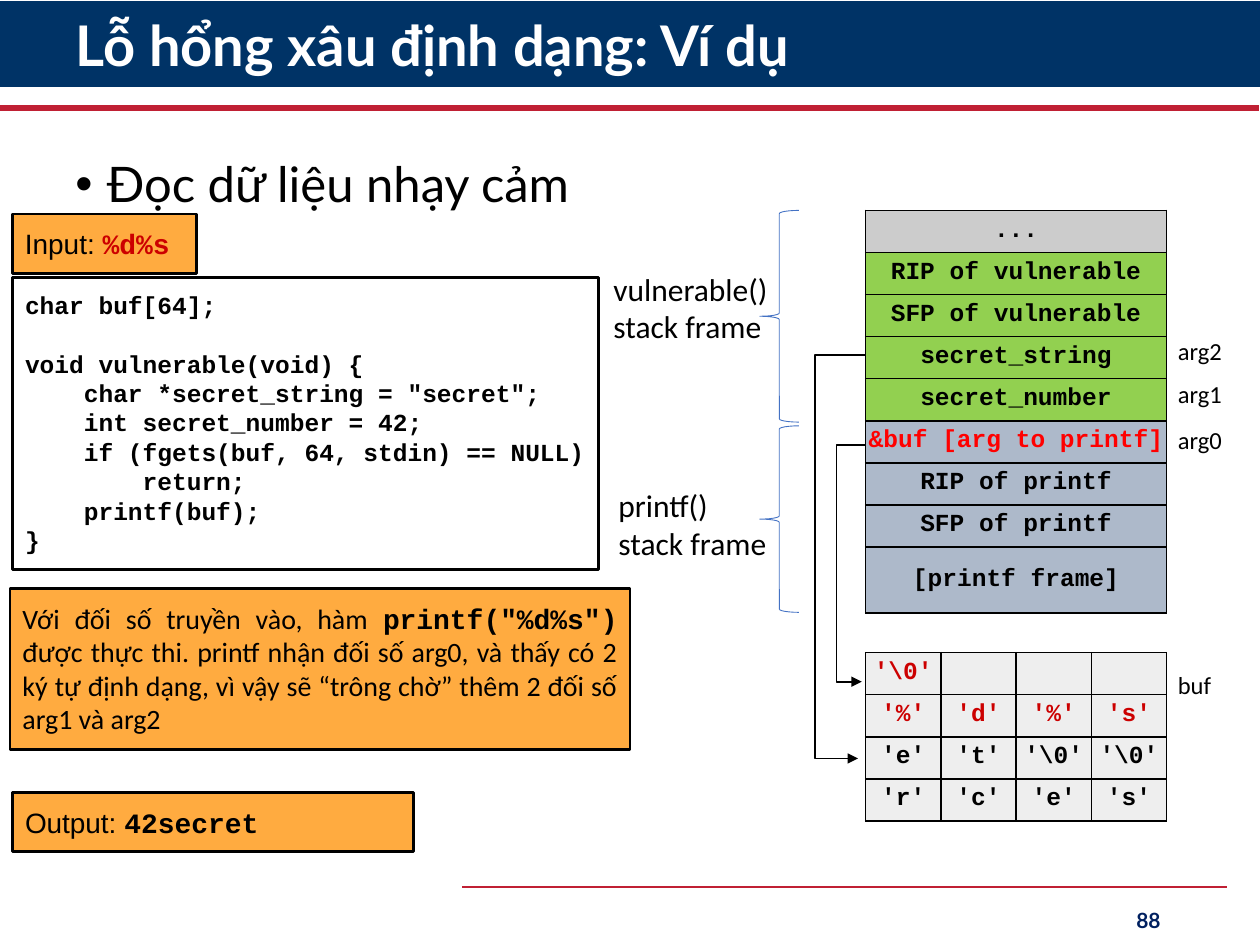
from lxml import etree
from pptx import Presentation
from pptx.dml.color import RGBColor
from pptx.enum.shapes import MSO_CONNECTOR, MSO_SHAPE
from pptx.enum.text import MSO_ANCHOR, PP_ALIGN
from pptx.oxml.ns import qn
from pptx.util import Inches, Pt

LEFT, CENTER, RIGHT, JUSTIFY = PP_ALIGN.LEFT, PP_ALIGN.CENTER, PP_ALIGN.RIGHT, PP_ALIGN.JUSTIFY
TOP, MIDDLE = MSO_ANCHOR.TOP, MSO_ANCHOR.MIDDLE
RECTANGLE, LEFT_BRACE = MSO_SHAPE.RECTANGLE, MSO_SHAPE.LEFT_BRACE
STRAIGHT = MSO_CONNECTOR.STRAIGHT
TITLE_ONLY = 5
BLACK, WHITE, RED, ORANGE = "000000", "FFFFFF", "CC0000", "FFAB40"
GREEN, SLATE, GREY, PALE = "92D050", "ADB9CA", "CCCCCC", "EEEEEE"
MONO = "Courier New"
ROW_HEIGHT = 1 / 3

CODE = """char buf[64];

void vulnerable(void) {
    char *secret_string = "secret";
    int secret_number = 42;
    if (fgets(buf, 64, stdin) == NULL)
        return;
    printf(buf);
}"""
STACK = [
    ("...", GREY, BLACK),
    ("RIP of vulnerable", GREEN, BLACK),
    ("SFP of vulnerable", GREEN, BLACK),
    ("secret_string", GREEN, BLACK),
    ("secret_number", GREEN, BLACK),
    ("&buf [arg to printf]", SLATE, "FF0000"),
    ("RIP of printf", SLATE, BLACK),
    ("SFP of printf", SLATE, BLACK),
    ("[printf frame]", SLATE, BLACK),
]
BUFFER = [
    ("'\\0'", "", "", ""),
    ("'%'", "'d'", "'%'", "'s'"),
    ("'e'", "'t'", "'\\0'", "'\\0'"),
    ("'r'", "'c'", "'e'", "'s'"),
]


def color(hex_text):
    """Turn a hex string into a colour."""
    return RGBColor.from_string(hex_text)


def inches(box):
    """Turn a sequence of numbers into lengths."""
    return [Inches(value) for value in box]


def format_run(run, size, font, ink, bold=False):
    """Set the look of one run."""
    run.font.size, run.font.name, run.font.bold = Pt(size), font, bold
    run.font.color.rgb = color(ink)


def format_text(text_frame, size, font, ink, bold=False, align=LEFT):
    """Set the look of all text in a frame, with the size of its empty lines."""
    for paragraph in text_frame.paragraphs:
        paragraph.alignment = align
        for run in paragraph.runs:
            format_run(run, size, font, ink, bold)
        if not paragraph.runs:
            etree.SubElement(paragraph._p, qn("a:endParaRPr"), sz=str(size * 100))


def set_outline(shape, ink, width):
    """Give a shape a plain outline and no shadow."""
    shape.shadow.inherit = False
    shape.line.color.rgb, shape.line.width = color(ink), Pt(width)


def add_label(slide, box, text, size, font="Calibri", ink=BLACK, bold=False,
              align=LEFT, anchor=TOP, inset=0.05):
    """Add a text box with uniform formatting."""
    label = slide.shapes.add_textbox(*inches(box))
    frame = label.text_frame
    frame.word_wrap, frame.vertical_anchor = True, anchor
    frame.margin_top = frame.margin_bottom = Inches(inset)
    frame.text = text
    format_text(frame, size, font, ink, bold, align)
    return label


def add_panel(slide, box, fill):
    """Add an outlined rectangle and return its text frame."""
    panel = slide.shapes.add_shape(RECTANGLE, *inches(box))
    set_outline(panel, BLACK, 1.5)
    panel.fill.solid()
    panel.fill.fore_color.rgb = color(fill)
    frame = panel.text_frame
    frame.word_wrap, frame.vertical_anchor = True, TOP
    frame.margin_left = frame.margin_right = Inches(0.1)
    frame.margin_top = frame.margin_bottom = Inches(0.1)
    return frame


def add_note(slide, box, parts, align=LEFT):
    """Add an orange note made of (text, font, colour, bold) parts."""
    paragraph = add_panel(slide, box, ORANGE).paragraphs[0]
    paragraph.alignment = align
    for text, font, ink, bold in parts:
        run = paragraph.add_run()
        run.text = text
        format_run(run, 16, font, ink, bold)


def add_rule(slide, left, right, top, width):
    """Add a horizontal red rule."""
    rule = slide.shapes.add_connector(STRAIGHT, *inches((left, top, right, top)))
    rule.line.color.rgb, rule.line.width = color("C02034"), Pt(width)
    etree.SubElement(rule._element.spPr, qn("a:effectLst"))


def add_heading(slide, box):
    """Place the banner, the title and the rules."""
    banner = slide.shapes.add_shape(RECTANGLE, *inches(box))
    banner.shadow.inherit = False
    banner.fill.solid()
    banner.fill.fore_color.rgb = color("003366")
    banner.line.fill.background()
    add_rule(slide, -0.01, 9.99, 0.86, 3.5)
    add_rule(slide, 3.67, 9.74, 7.04, 1.5)
    title = slide.shapes.title
    banner._element.addnext(title._element)
    title.left, title.top, title.width, title.height = inches((0.5, 0.08, 8.81, 0.61))
    frame = title.text_frame
    frame.text = "Lỗ hổng xâu định dạng: Ví dụ"
    frame.vertical_anchor = MIDDLE
    frame.paragraphs[0].line_spacing = 0.9
    format_text(frame, 32, "Lato", WHITE, True)


def add_topic(slide, box):
    """Add the bulleted topic line."""
    topic = add_label(slide, box, "Đọc dữ liệu nhạy cảm", 28, "Lato")
    paragraph = topic.text_frame.paragraphs[0]
    paragraph.line_spacing, paragraph.space_before = 0.9, Pt(10)
    properties = paragraph._p.get_or_add_pPr()
    properties.set("marL", str(Inches(0.25)))
    properties.set("indent", str(Inches(-0.25)))
    etree.SubElement(properties, qn("a:buFont"), typeface="Arial")
    etree.SubElement(properties, qn("a:buChar"), char="•")


def format_cell(cell, text, fill, ink, anchor=TOP):
    """Fill, border and write one table cell."""
    properties = cell._tc.get_or_add_tcPr()
    for side in ("lnL", "lnR", "lnT", "lnB"):
        border = etree.SubElement(properties, qn(f"a:{side}"), w=str(Pt(1)))
        solid = etree.SubElement(border, qn("a:solidFill"))
        etree.SubElement(solid, qn("a:srgbClr"), val=BLACK)
    cell.fill.solid()
    cell.fill.fore_color.rgb = color(fill)
    cell.margin_left = cell.margin_right = Inches(0.02)
    cell.margin_top = cell.margin_bottom = Inches(0.05)
    cell.vertical_anchor = anchor
    cell.text = text
    format_text(cell.text_frame, 14, MONO, ink, True, CENTER)


def add_grid(slide, box, row_count):
    """Add a table of four equal columns with standard rows."""
    table = slide.shapes.add_table(row_count, 4, *inches(box)).table
    for column in table.columns:
        column.width = Inches(box[2] / 4)
    for row in table.rows:
        row.height = Inches(ROW_HEIGHT)
    return table


def add_stack(slide, box):
    """Draw the stack, one merged row for each entry."""
    table = add_grid(slide, box, len(STACK))
    last = len(STACK) - 1
    table.rows[last].height = Inches(box[3] - last * ROW_HEIGHT)
    for index, (text, fill, ink) in enumerate(STACK):
        for column in range(4):
            format_cell(table.cell(index, column), "" if column else text, fill, ink,
                        MIDDLE if index == last else TOP)
        table.cell(index, 0).merge(table.cell(index, 3))


def add_buffer(slide, box):
    """Draw the contents of the buffer."""
    table = add_grid(slide, box, len(BUFFER))
    for index, texts in enumerate(BUFFER):
        for column, text in enumerate(texts):
            format_cell(table.cell(index, column), text, PALE, RED if index < 2 else BLACK)


def add_pointer(slide, start, bend, end, top, bottom):
    """Draw a bent arrow from a stack entry to the buffer."""
    points = [inches(point) for point in ((bend, top), (bend, bottom), (end, bottom))]
    builder = slide.shapes.build_freeform(Inches(start), Inches(top))
    builder.add_line_segments(points, close=False)
    pointer = builder.convert_to_shape()
    set_outline(pointer, BLACK, 1)
    pointer.fill.background()
    etree.SubElement(pointer.line._get_or_add_ln(), qn("a:tailEnd"), type="triangle")


def add_frame_brace(slide, box, name, label_box):
    """Mark a stack frame with a brace and its name."""
    brace = slide.shapes.add_shape(LEFT_BRACE, *inches(box))
    set_outline(brace, "4472C4", 0.5)
    brace.fill.background()
    add_label(slide, label_box, f"{name}\nstack frame", 18)


def main():
    """Build the slide and save it."""
    presentation = Presentation()
    presentation.slide_width, presentation.slide_height = Inches(10), Inches(7.5)
    slide = presentation.slides.add_slide(presentation.slide_layouts[TITLE_ONLY])
    add_heading(slide, (0, 0.01, 10, 0.68))
    add_topic(slide, (0.5, 1.22, 9, 0.6))
    add_label(slide, (7.06, 7.1, 2.25, 0.4), "88", 12, "Lato", "002060", True, RIGHT, MIDDLE)
    code = add_panel(slide, (0.1, 2.2, 4.65, 2.32), WHITE)
    code.text = CODE
    format_text(code, 14, MONO, BLACK, True)
    add_stack(slide, (6.87, 1.67, 2.39, 3.19))
    add_buffer(slide, (6.87, 5.18, 2.39, 4 * ROW_HEIGHT))
    add_pointer(slide, 6.87, 6.47, 6.81, 2.82, 6.02)
    add_pointer(slide, 6.87, 6.64, 6.84, 3.53, 5.41)
    add_note(slide, (0.1, 1.7, 1.46, 0.47),
             [("Input: ", "Arial", BLACK, False), ("%d%s", MONO, RED, True)])
    add_note(slide, (0.08, 4.67, 4.92, 1.28), [
        ("Với đối số truyền vào, hàm ", "Calibri", BLACK, False),
        ('printf("%d%s")', MONO, BLACK, True),
        (" được thực thi. printf nhận đối số arg0, và thấy có 2 ký tự định dạng, "
         "vì vậy sẽ “trông chờ” thêm 2 đối số arg1 và arg2", "Calibri", BLACK, False),
    ], JUSTIFY)
    add_note(slide, (0.1, 6.29, 3.18, 0.47),
             [("Output: ", "Arial", BLACK, False), ("42secret", MONO, BLACK, True)])
    for text, top in (("arg0", 3.27), ("arg1", 2.91), ("arg2", 2.57), ("buf", 5.22)):
        add_label(slide, (9.25, top, 0.7, 0.44), text, 14, inset=0.1)
    add_frame_brace(slide, (6.03, 1.67, 0.31, 1.68), "vulnerable()", (4.77, 2.09, 1.58, 0.71))
    add_frame_brace(slide, (6.03, 3.38, 0.31, 1.48), "printf()", (4.81, 3.81, 1.43, 0.71))
    presentation.save("out.pptx")


if __name__ == "__main__":
    main()
